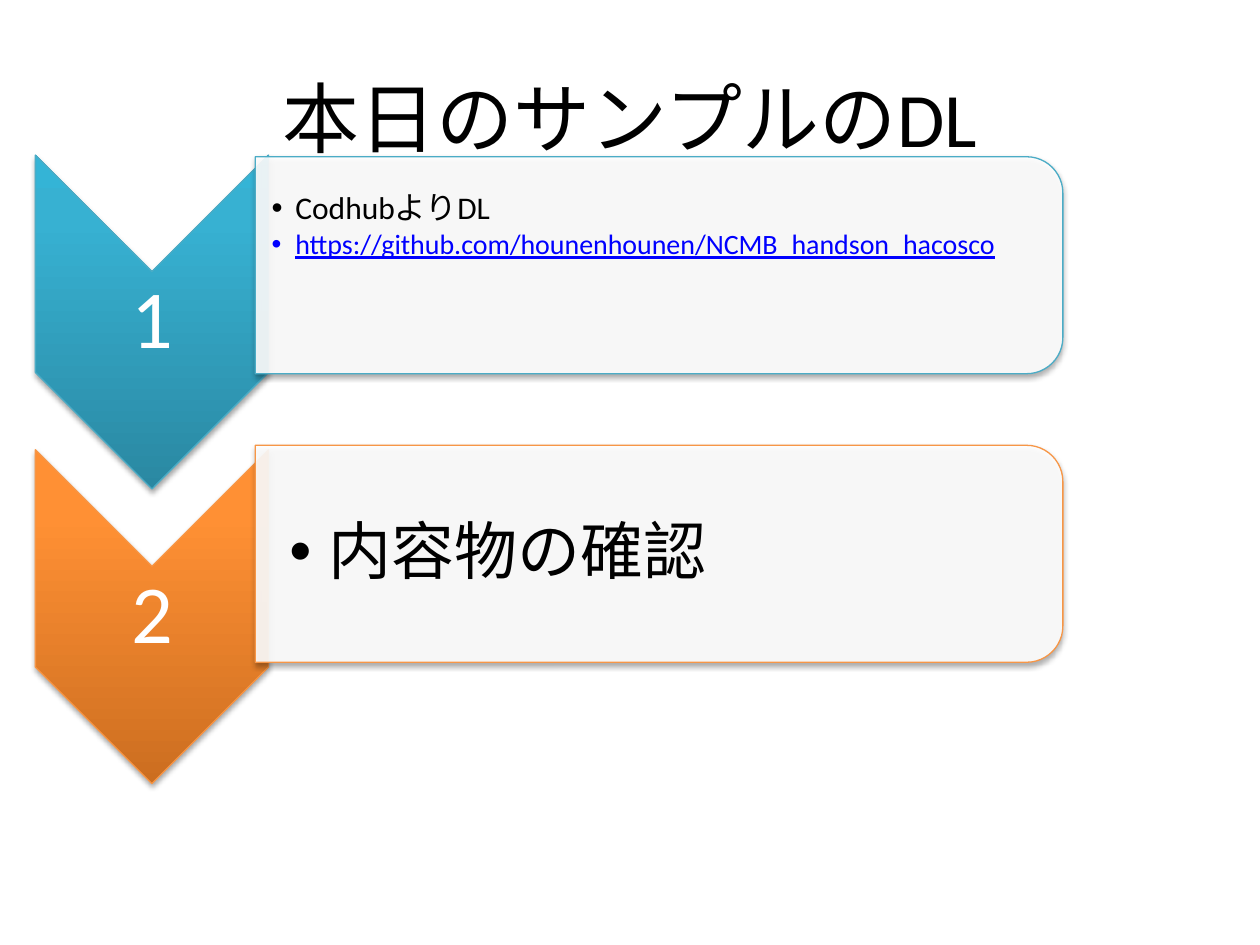
from pptx import Presentation
from pptx.dml.color import RGBColor
from pptx.enum.shapes import MSO_SHAPE
from pptx.enum.text import MSO_ANCHOR, PP_ALIGN
from pptx.oxml import parse_xml
from pptx.oxml.ns import nsdecls, qn
from pptx.util import Pt

CHEVRON, PANEL = MSO_SHAPE.CHEVRON, MSO_SHAPE.ROUND_2_SAME_RECTANGLE
CENTER, LEFT = PP_ALIGN.CENTER, PP_ALIGN.LEFT
TOP, MIDDLE = MSO_ANCHOR.TOP, MSO_ANCHOR.MIDDLE

FONT = "Calibri"
CHEVRON_X, CHEVRON_Y, CHEVRON_STEP = 86.8, 184, 168.4
PANEL_X, PANEL_Y, PANEL_STEP = 376.6, 151.6, 164.9

STEPS = [
    {"number": "1", "line": "4BACC6",
     "stops": [(0, "2A88A2"), (80, "37B1D2"), (100, "34B4D6")],
     "anchor": TOP, "insets": (10, 14, 1, 1), "indent": 13.5,
     "items": [("CodhubよりDL", {"size": Pt(18)}, "000000"),
               ("https://github.com/hounenhounen/NCMB_handson_hacosco",
                {"size": Pt(16), "underline": True}, "0000FF")]},
    {"number": "2", "line": "F79646",
     "stops": [(0, "CC6E20"), (80, "FF9034"), (100, "FF9136")],
     "anchor": MIDDLE, "insets": (20, 2, 2, 2), "indent": 22.5,
     "items": [("内容物の確認", {"size": Pt(36)}, "000000")]},
]


def rgb(value):
    return RGBColor.from_string(value)


def add_shadow(sp):
    sp.shadow.inherit = False
    effects = sp._element.spPr.find(qn("a:effectLst"))
    effects.append(parse_xml(
        f'<a:outerShdw {nsdecls("a")} blurRad="{Pt(3.1)}" dist="{Pt(1.8)}" '
        'dir="5400000" rotWithShape="0"><a:srgbClr val="000000">'
        '<a:alpha val="35000"/></a:srgbClr></a:outerShdw>'))


def add_turned_shape(s, kind, cx, cy, w, h, line):
    """Add a shape centred on (cx, cy) and turned a quarter clockwise."""
    sp = s.shapes.add_shape(kind, Pt(cx - w / 2), Pt(cy - h / 2), Pt(w), Pt(h))
    sp.rotation = 90
    sp.line.color.rgb = rgb(line)
    sp.line.width = Pt(0.75)
    add_shadow(sp)
    return sp


def fill_gradient(sp, stops):
    """Fill from bottom to top, whatever the turn of the shape."""
    sp.fill.gradient()
    spPr = sp._element.spPr
    marks = "".join(f'<a:gs pos="{pos * 1000}"><a:srgbClr val="{color}"/></a:gs>'
                    for pos, color in stops)
    spPr.replace(spPr.find(qn("a:gradFill")), parse_xml(
        f'<a:gradFill {nsdecls("a")} rotWithShape="0"><a:gsLst>{marks}</a:gsLst>'
        '<a:lin ang="16200000" scaled="0"/></a:gradFill>'))


def fill_translucent(sp, color, percent):
    sp.fill.solid()
    sp.fill.fore_color.rgb = rgb(color)
    clr = sp._element.spPr.find(qn("a:solidFill")).find(qn("a:srgbClr"))
    clr.append(parse_xml(f'<a:alpha {nsdecls("a")} val="{percent * 1000}"/>'))


def add_bullet(p, indent):
    pPr = p._p.get_or_add_pPr()
    pPr.set("marL", str(Pt(indent)))
    pPr.set("indent", str(-Pt(indent)))
    pPr.append(parse_xml(f'<a:buFont {nsdecls("a")} typeface="Arial"/>'))
    pPr.append(parse_xml(f'<a:buChar {nsdecls("a")} char="•"/>'))


def add_text(s, cx, cy, w, h, items, align=CENTER, anchor=MIDDLE,
             insets=(2, 2, 2, 2), spacing=0.9, indent=None):
    """Add a text box centred on (cx, cy), one paragraph per item."""
    box = s.shapes.add_textbox(Pt(cx - w / 2), Pt(cy - h / 2), Pt(w), Pt(h))
    tf = box.text_frame
    tf.word_wrap = True
    tf.vertical_anchor = anchor
    for side, inset in zip(("left", "top", "right", "bottom"), insets):
        setattr(tf, f"margin_{side}", Pt(inset))
    for i, (text, formats, color) in enumerate(items):
        p = tf.add_paragraph() if i else tf.paragraphs[0]
        p.alignment = align
        p.line_spacing = spacing
        if indent:
            p.space_after = Pt(2.5)
            add_bullet(p, indent)
        r = p.add_run()
        r.text = text
        for name, value in {"name": FONT, **formats}.items():
            setattr(r.font, name, value)
        r.font.color.rgb = rgb(color)


def add_step(s, i, step):
    # Numbered chevron
    y = CHEVRON_Y + i * CHEVRON_STEP
    sp = add_turned_shape(s, CHEVRON, CHEVRON_X, y, 190.8, 133.2, step["line"])
    fill_gradient(sp, step["stops"])
    add_text(s, CHEVRON_X, y, 133.2, 57,
             [(step["number"], {"size": Pt(47)}, "FFFFFF")])

    # Panel with bullets
    y = PANEL_Y + i * PANEL_STEP
    sp = add_turned_shape(s, PANEL, PANEL_X, y, 124, 461.5, step["line"])
    fill_translucent(sp, "FFFFFF", 90)
    add_text(s, 373.2, y, 455.8, 111.6, step["items"], LEFT, step["anchor"],
             step["insets"], indent=step["indent"])


def main():
    prs = Presentation()
    prs.slide_width, prs.slide_height = Pt(720), Pt(540)
    s = prs.slides.add_slide(prs.slide_layouts[6])

    # Title
    add_text(s, 360, 66.6, 648, 90,
             [("本日のサンプルのDL", {"size": Pt(44)}, "000000")], spacing=1.0)

    # Steps
    for i, step in enumerate(STEPS):
        add_step(s, i, step)

    prs.save("out.pptx")


if __name__ == "__main__":
    main()
